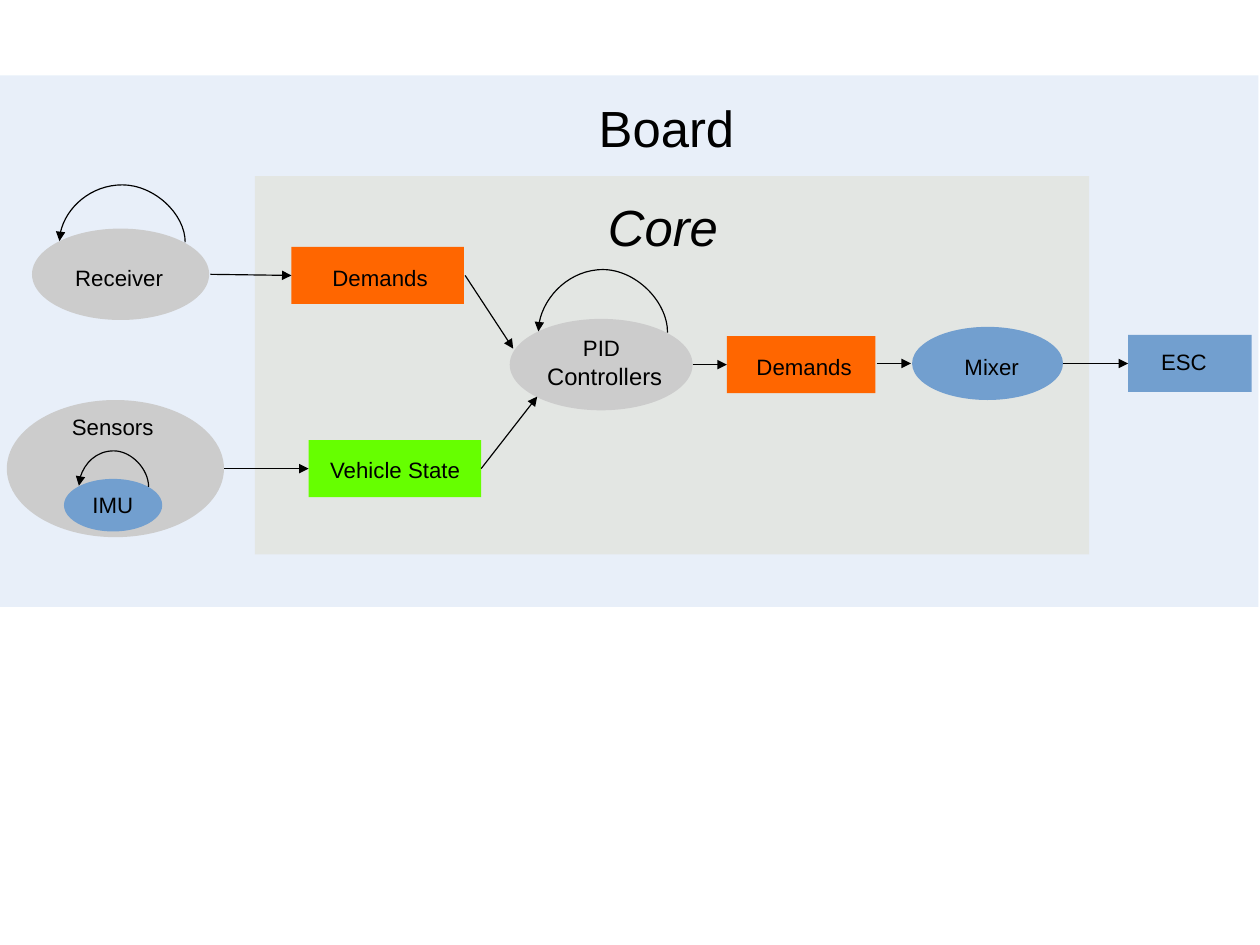
"""Builds the flight controller data-flow slide: board, core and their components."""
from lxml import etree
from pptx import Presentation
from pptx.dml.color import RGBColor
from pptx.enum.shapes import MSO_CONNECTOR, MSO_SHAPE
from pptx.enum.text import PP_ALIGN
from pptx.oxml.ns import qn
from pptx.util import Inches, Pt

RECT, OVAL = MSO_SHAPE.RECTANGLE, MSO_SHAPE.OVAL
STRAIGHT, CURVE = MSO_CONNECTOR.STRAIGHT, MSO_CONNECTOR.CURVE
LEFT, CENTER = PP_ALIGN.LEFT, PP_ALIGN.CENTER
CM_PER_INCH = 2.54
THEME = {
    "board": "C6D9F1", "core": "DDD9C3", "task": "CCCCCC", "demands": "FF6600",
    "state": "66FF00", "hardware": "729FCF", "ink": "000000",
    "font": "Arial", "title": 32, "label": 14, "large_label": 15,
    "line": 0.75, "zone_alpha": 40000,
}

deck = Presentation()
deck.slide_width, deck.slide_height = Inches(28 / CM_PER_INCH), Inches(21 / CM_PER_INCH)
slide = deck.slides.add_slide(deck.slide_layouts[6])


def write(text, left, top, width, height=0.34, sizes=("label",), italic=False, align=LEFT):
    frame = slide.shapes.add_textbox(*map(Inches, (left, top, width, height))).text_frame
    frame.word_wrap = True
    frame.text = text
    for paragraph, size in zip(frame.paragraphs, sizes):
        paragraph.alignment = align
        font = paragraph.runs[0].font
        font.name, font.size, font.italic = THEME["font"], Pt(THEME[size]), italic
        font.color.rgb = RGBColor.from_string(THEME["ink"])


def arrow(kind, *ends):
    link = slide.shapes.add_connector(kind, *map(Inches, ends))
    link.line.color.rgb = RGBColor.from_string(THEME["ink"])
    link.line.width = Pt(THEME["line"])
    outline = link.element.spPr.find(qn("a:ln"))
    etree.SubElement(outline, qn("a:tailEnd"), type="triangle")
    etree.SubElement(link.element.spPr, qn("a:effectLst"))
    return link.element.spPr


for outline, role, left, top, width, height in (
    (RECT, "board", -0.01, 0.66, 11.02, 4.65),
    (RECT, "core", 2.23, 1.54, 7.3, 3.31),
    (OVAL, "task", 0.28, 2, 1.55, 0.8),
    (RECT, "demands", 2.55, 2.16, 1.51, 0.5),
    (RECT, "state", 2.7, 3.85, 1.51, 0.5),
    (RECT, "demands", 6.36, 2.94, 1.3, 0.5),
    (OVAL, "hardware", 7.98, 2.86, 1.32, 0.64),
    (OVAL, "task", 4.46, 2.79, 1.6, 0.8),
    (OVAL, "task", 0.06, 3.5, 1.9, 1.2),
    (OVAL, "hardware", 0.56, 4.19, 0.86, 0.46),
    (RECT, "hardware", 9.87, 2.93, 1.08, 0.5),
):
    part = slide.shapes.add_shape(outline, *map(Inches, (left, top, width, height)))
    part.shadow.inherit = False
    part.line.fill.background()
    part.fill.solid()
    part.fill.fore_color.rgb = RGBColor.from_string(THEME[role])
    if role in ("board", "core"):
        tint = part.element.spPr.find(qn("a:solidFill"))[0]
        etree.SubElement(tint, qn("a:alpha"), val=str(THEME["zone_alpha"]))

for flow in (
    (1.84, 2.4, 2.55, 2.41),
    (1.96, 4.1, 2.7, 4.1),
    (4.07, 2.41, 4.49, 3.05),
    (4.21, 4.1, 4.7, 3.47),
    (6.06, 3.19, 6.36, 3.19),
    (7.67, 3.18, 7.97, 3.18),
    (9.3, 3.18, 9.87, 3.18),
):
    arrow(STRAIGHT, *flow)

DROP = 0.01
for start, end, base, rise in (
    (5.84, 4.71, 2.91, 0.56),
    (1.62, 0.52, 2.12, 0.51),
    (1.3, 0.69, 4.26, 0.32),
):
    middle, reach, level = (start + end) / 2, (start - end) / 2, base - DROP / 2
    loop = arrow(CURVE, middle - DROP / 2, level + reach, middle + DROP / 2, level - reach)
    loop.find(qn("a:xfrm")).set("rot", str(270 * 60000))
    bends = loop.find(qn("a:prstGeom")).get_or_add_avLst()
    bulge = round(rise / DROP * 100000)
    etree.SubElement(bends, qn("a:gd"), name="adj1", fmla=f"val {bulge}")

write("Board", 5.14, 0.8, 1.64, 0.46, sizes=("title",))
write("Core", 5.22, 1.66, 1.64, 0.46, sizes=("title",), italic=True)
write("PID \nControllers", 4.49, 2.88, 1.6, 0.6, sizes=("label", "large_label"), align=CENTER)
for name, left, top, width in (
    ("Receiver", 0.56, 2.26, 1.2),
    ("Demands", 2.81, 2.26, 1.15),
    ("Vehicle State", 2.79, 3.94, 1.4),
    ("Demands", 6.52, 3.04, 1.15),
    ("Sensors", 0.53, 3.57, 1.01),
    ("IMU", 0.71, 4.25, 0.65),
    ("Mixer", 8.34, 3.04, 0.8),
    ("ESC", 10.06, 3, 0.8),
):
    write(name, left, top, width)

deck.save("out.pptx")
